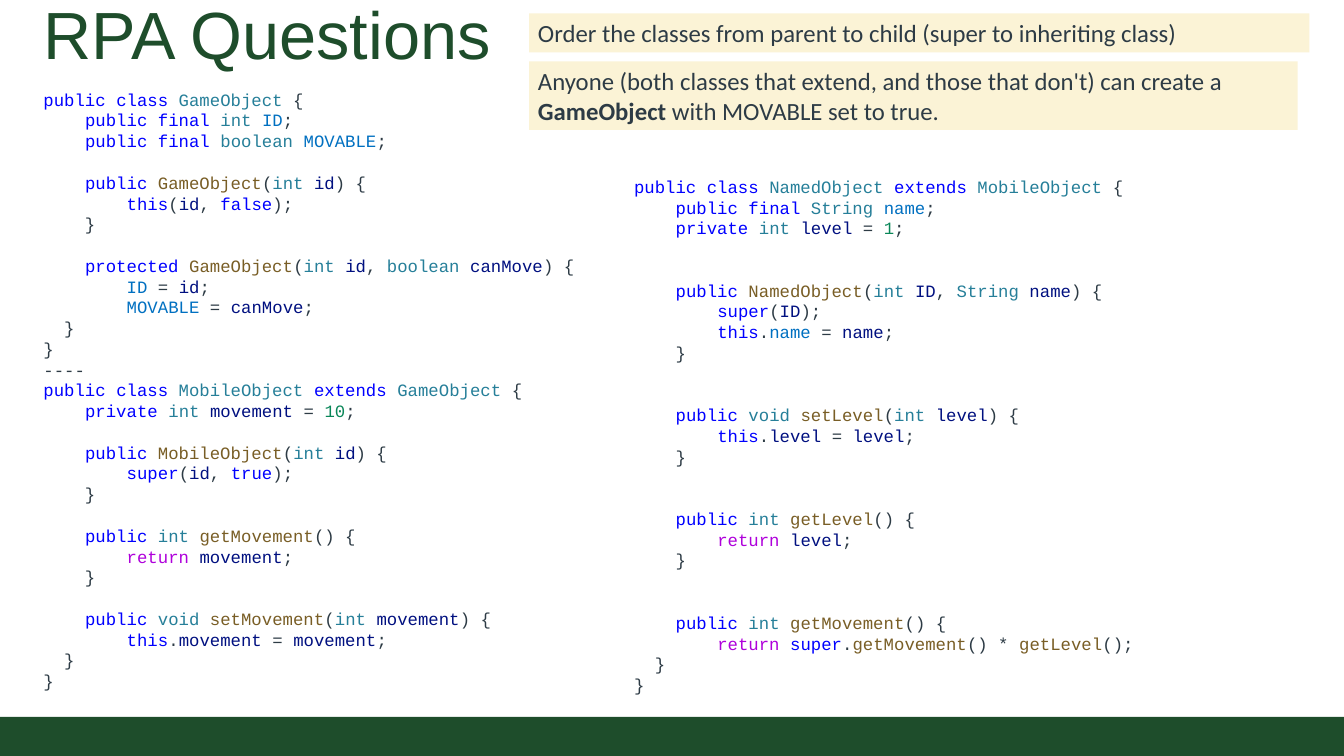
from itertools import groupby

from pptx import Presentation
from pptx.dml.color import RGBColor
from pptx.enum.shapes import MSO_SHAPE
from pptx.enum.text import MSO_ANCHOR
from pptx.util import Inches, Pt

COLORS = {
    "green": "1E4D2B", "cream": "FBF3D6", "text": "2D3B45",
    "keyword": "0000FF", "type": "267F99", "final": "0070C1",
    "method": "795E26", "variable": "001080", "number": "098658",
    "return": "AF00DB",
}
KEYWORDS = {"public", "private", "protected", "final", "class", "extends",
            "this", "super", "true", "false"}
TYPES = {"int", "boolean", "void", "String", "GameObject", "MobileObject",
         "NamedObject"}
CODE_LINE = Pt(16.8)
FINAL_MARK = "@"

GAME_AND_MOBILE = """\
public class GameObject {
    public final int @ID;
    public final boolean @MOVABLE;

    public GameObject(int id) {
        this(id, false);
    }

    protected GameObject(int id, boolean canMove) {
        @ID = id;
        @MOVABLE = canMove;
  }
}
----
public class MobileObject extends GameObject {
    private int movement = 10;

    public MobileObject(int id) {
        super(id, true);
    }

    public int getMovement() {
        return movement;
    }

    public void setMovement(int movement) {
        this.movement = movement;
  }
}"""

NAMED = """\
public class NamedObject extends MobileObject {
    public final String @name;
    private int level = 1;


    public NamedObject(int ID, String name) {
        super(ID);
        this.@name = name;
    }


    public void setLevel(int level) {
        this.level = level;
    }


    public int getLevel() {
        return level;
    }


    public int getMovement() {
        return super.getMovement() * getLevel();
  }
}"""


def rgb(name):
    """Return the named colour."""
    return RGBColor.from_string(COLORS[name])


def add_run(paragraph, text, font_name, size, color, bold=False):
    """Append one styled run to a paragraph."""
    run = paragraph.add_run()
    run.text = text
    run.font.name = font_name
    run.font.size = Pt(size)
    run.font.bold = bold
    run.font.color.rgb = rgb(color)


def add_frame(slide, left, top, width, height, anchor=MSO_ANCHOR.TOP, fill=None):
    """Add a wrapping text box and return its text frame."""
    box = slide.shapes.add_textbox(Inches(left), Inches(top),
                                   Inches(width), Inches(height))
    if fill:
        box.fill.solid()
        box.fill.fore_color.rgb = rgb(fill)
    frame = box.text_frame
    frame.word_wrap = True
    frame.vertical_anchor = anchor
    return frame


def word_color(word, before, after):
    """Choose the syntax colour of a word from its neighbours."""
    if before.endswith(FINAL_MARK):
        return "final"
    if word == "return":
        return "return"
    if word in KEYWORDS:
        return "keyword"
    if after.startswith("("):
        return "method"
    if word in TYPES:
        return "type"
    return "number" if word.isdigit() else "variable"


def add_code_line(paragraph, line):
    """Write one line of code as coloured runs."""
    pieces = ["".join(chars) for _, chars in groupby(line, str.isalnum)]
    for before, piece, after in zip([""] + pieces, pieces, pieces[1:] + [""]):
        color = word_color(piece, before, after) if piece.isalnum() else "text"
        shown = piece.replace(FINAL_MARK, "")
        if shown:
            add_run(paragraph, shown, "Courier New", 14, color)


def add_code(slide, code, *place, anchor=MSO_ANCHOR.TOP):
    """Add a code listing whose empty lines become paragraph spacing."""
    frame = add_frame(slide, *place, anchor=anchor)
    paragraph, gap = frame.paragraphs[0], 0
    for number, line in enumerate(code.splitlines()):
        if not line:
            gap += 1
            continue
        if number:
            paragraph = frame.add_paragraph()
            paragraph.space_before = gap * CODE_LINE
        paragraph.line_spacing = CODE_LINE
        add_code_line(paragraph, line)
        gap = 0


def add_title(slide, title):
    """Add the large slide title."""
    frame = add_frame(slide, 0.39, -0.19, 13.74, 1.11, MSO_ANCHOR.BOTTOM)
    frame.margin_top = frame.margin_bottom = Inches(0.1)
    add_run(frame.paragraphs[0], title, "Arial", 54, "green")


def add_question(slide, top, width, height, *parts):
    """Add a cream question panel; each part is a text and its boldness."""
    frame = add_frame(slide, 5.95, top, width, height, MSO_ANCHOR.MIDDLE, "cream")
    for text, bold in parts:
        add_run(frame.paragraphs[0], text, "Calibri", 20, "text", bold)


def add_footer(slide):
    """Add the green band along the bottom edge."""
    band = slide.shapes.add_shape(MSO_SHAPE.RECTANGLE, 0, Inches(8.06),
                                  Inches(15.11), Inches(0.44))
    band.shadow.inherit = False
    band.fill.solid()
    band.fill.fore_color.rgb = rgb("green")
    band.line.fill.background()


def main():
    """Build the slide and save it."""
    deck = Presentation()
    deck.slide_width, deck.slide_height = Inches(15.11), Inches(8.5)
    slide = deck.slides.add_slide(deck.slide_layouts[6])
    add_footer(slide)
    add_title(slide, "RPA Questions")
    add_code(slide, GAME_AND_MOBILE, 0.39, 0.8, 6.92, 7.17,
             anchor=MSO_ANCHOR.MIDDLE)
    add_code(slide, NAMED, 7.03, 1.93, 7.56, 5.99)
    add_question(slide, 0.15, 8.77, 0.44,
                 ("Order the classes from parent to child "
                  "(super to inheriting class)", False))
    add_question(slide, 0.69, 8.64, 0.77,
                 ("Anyone (both classes that extend, and those that don't) "
                  "can create a ", False),
                 ("GameObject", True),
                 (" with MOVABLE set to true.", False))
    deck.save("out.pptx")


if __name__ == "__main__":
    main()
